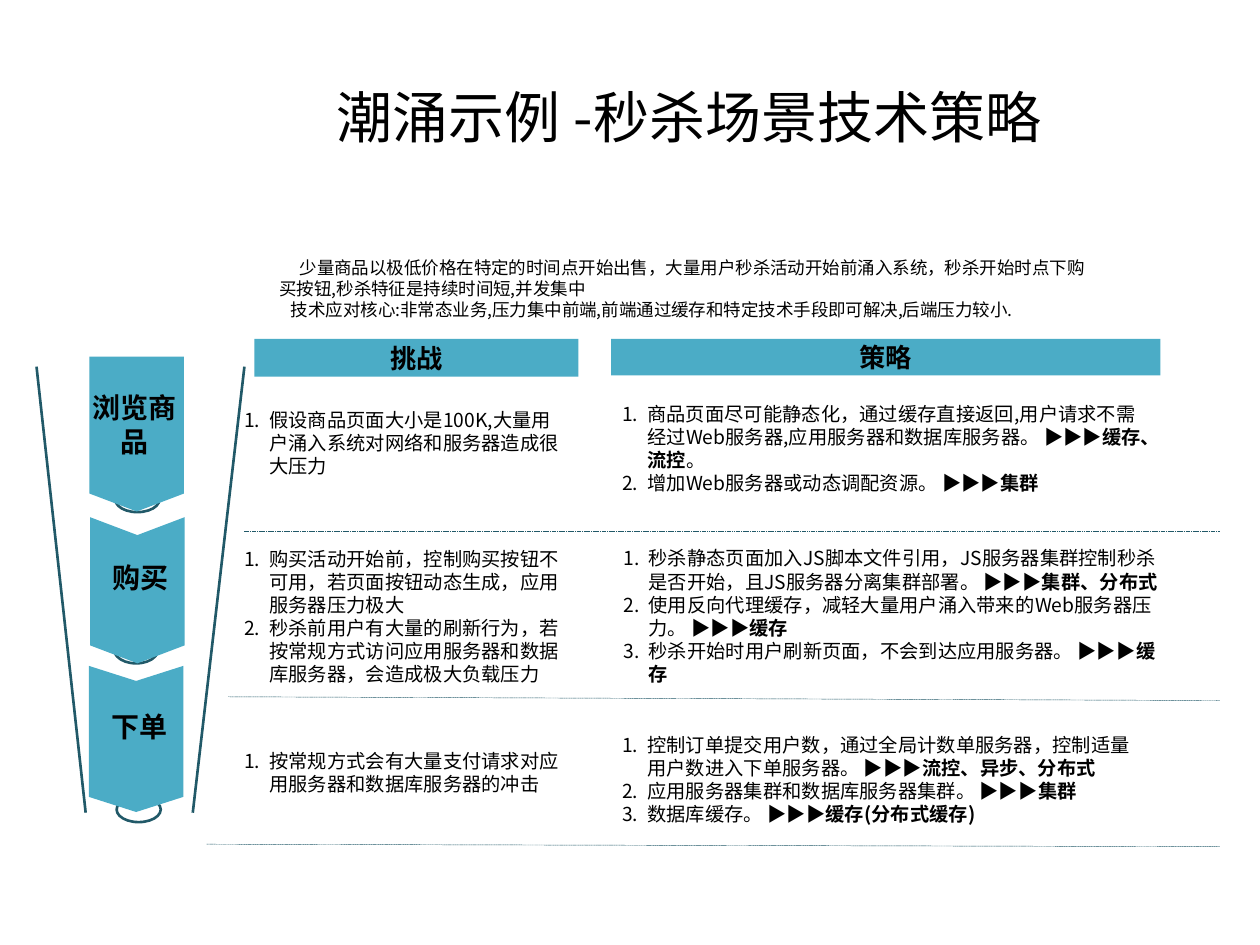
from dataclasses import dataclass
from lxml.etree import SubElement
from pptx import Presentation
from pptx.dml.color import RGBColor
from pptx.enum.dml import MSO_LINE
from pptx.enum.shapes import MSO_CONNECTOR, MSO_SHAPE as SHAPE
from pptx.enum.text import MSO_ANCHOR as ANCHOR, PP_ALIGN as ALIGN
from pptx.oxml.ns import qn
from pptx.util import Inches, Pt


@dataclass
class Theme:
    font: str = "Noto Sans CJK SC"
    text: RGBColor = RGBColor(0, 0, 0)
    white: RGBColor = RGBColor(255, 255, 255)
    accent: RGBColor = RGBColor(0x4B, 0xAC, 0xC6)
    dark: RGBColor = RGBColor(0x21, 0x59, 0x68)
    title: int = 32
    step: int = 16
    header: int = 15
    item: int = 11
    intro: int = 10


theme = Theme()


def write(shape, paragraphs, size, bold=False, align=ALIGN.LEFT,
          anchor=ANCHOR.TOP, numbered=False, indents=()):
    tf = shape.text_frame
    tf.word_wrap = True
    tf.vertical_anchor = anchor
    for i, parts in enumerate(paragraphs):
        p = tf.paragraphs[0] if i == 0 else tf.add_paragraph()
        p.alignment = align
        p.line_spacing = Pt(round(size * 1.2, 1))
        p.space_before = Pt(0)
        pPr = p._p.get_or_add_pPr()
        if numbered:
            pPr.set("marL", str(Inches(0.2)))
            pPr.set("indent", str(-Inches(0.2)))
            SubElement(pPr, qn("a:buFont"), typeface="+mj-lt")
            SubElement(pPr, qn("a:buAutoNum"), type="arabicPeriod")
        elif indents:
            pPr.set("indent", str(Inches(indents[i])))
        for j, text in enumerate(parts):
            r = p.add_run()
            r.text = text
            r.font.name = theme.font
            r.font.size = Pt(size)
            r.font.bold = bold or j % 2 == 1
            r.font.color.rgb = theme.text
            SubElement(r._r.get_or_add_rPr(), qn("a:ea"), typeface=theme.font)


def draw(kind, box, fill, line=None, rotation=0, adj=None):
    sp = s.shapes.add_shape(kind, *map(Inches, box))
    sp.shadow.inherit = False
    sp.rotation = rotation
    sp.fill.solid()
    sp.fill.fore_color.rgb = fill
    if line is None:
        sp.line.fill.background()
    else:
        sp.line.color.rgb = line
        sp.line.width = Pt(1.5)
    if adj is not None:
        sp.adjustments[0] = adj
    return sp


prs = Presentation()
prs.slide_width, prs.slide_height = Inches(10), Inches(7.5)
s = prs.slides.add_slide(prs.slide_layouts[5])

title = s.shapes.title
title.left, title.top, title.width, title.height = map(Inches, (0.94, 0.3, 9.06, 1.25))
write(title, [["潮涌示例 -秒杀场景技术策略"]], theme.title,
      align=ALIGN.CENTER, anchor=ANCHOR.MIDDLE)

for box in [(0.99, 3.79, 0.2, 0.35), (0.97, 4.98, 0.22, 0.35), (1, 6.25, 0.2, 0.35)]:
    draw(SHAPE.OVAL, box, theme.white, line=theme.dark, rotation=90)

funnel = [(0.68, 6.45, 0.29, 2.91), (1.53, 6.45, 1.94, 2.91)]
dividers = [(1.94, 4.22, 9.68, 4.22), (1.81, 5.53, 9.68, 5.56), (1.64, 6.7, 9.68, 6.72)]
for ends in funnel + dividers:
    line = s.shapes.add_connector(MSO_CONNECTOR.STRAIGHT, *map(Inches, ends))
    line.line.color.rgb = theme.dark
    line.line.width = Pt(1.5)
    if ends in dividers:
        line.line.width = Pt(0.25)
        line.line.dash_style = MSO_LINE.SQUARE_DOT
    SubElement(line._element.spPr, qn("a:effectLst"))

for text, box in [("挑战", (2.02, 2.69, 2.57, 0.3)), ("策略", (4.85, 2.69, 4.36, 0.29))]:
    write(draw(SHAPE.RECTANGLE, box, theme.accent), [[text]], theme.header,
          bold=True, align=ALIGN.CENTER, anchor=ANCHOR.MIDDLE)

cells = [
    ((1.84, 3.19, 2.76, 0.66), [
        ["假设商品页面大小是100K,大量用户涌入系统对网络和服务器造成很大压力"]]),
    ((4.84, 3.14, 4.36, 0.84), [
        ["商品页面尽可能静态化，通过缓存直接返回,用户请求不需经过Web服务器,应用服务器和数据库服务器。 ▶▶▶",
         "缓存、流控", "。"],
        ["增加Web服务器或动态调配资源。 ▶▶▶", "集群"]]),
    ((1.84, 4.29, 2.78, 1.21), [
        ["购买活动开始前，控制购买按钮不可用，若页面按钮动态生成，应用服务器压力极大"],
        ["秒杀前用户有大量的刷新行为，若按常规方式访问应用服务器和数据库服务器，会造成极大负载压力"]]),
    ((4.85, 4.29, 4.49, 1.03), [
        ["秒杀静态页面加入JS脚本文件引用，JS服务器集群控制秒杀是否开始，且JS服务器分离集群部署。 ▶▶▶",
         "集群、分布式"],
        ["使用反向代理缓存，减轻大量用户涌入带来的Web服务器压力。 ▶▶▶", "缓存"],
        ["秒杀开始时用户刷新页面，不会到达应用服务器。 ▶▶▶", "缓存"]]),
    ((1.84, 5.9, 2.76, 0.47), [
        ["按常规方式会有大量支付请求对应用服务器和数据库服务器的冲击"]]),
    ((4.84, 5.77, 4.34, 0.84), [
        ["控制订单提交用户数，通过全局计数单服务器，控制适量用户数进入下单服务器。 ▶▶▶",
         "流控、异步、分布式"],
        ["应用服务器集群和数据库服务器集群。 ▶▶▶", "集群"],
        ["数据库缓存。 ▶▶▶", "缓存(分布式缓存)"]]),
]
for box, items in cells:
    write(s.shapes.add_textbox(*map(Inches, box)), items, theme.item, numbered=True)

intro = s.shapes.add_textbox(*map(Inches, (2.12, 1.99, 6.7, 0.61)))
write(intro, [
    ["少量商品以极低价格在特定的时间点开始出售，大量用户秒杀活动开始前涌入系统，秒杀开始时点下购买按钮,秒杀特征是持续时间短,并发集中"],
    ["技术应对核心:非常态业务,压力集中前端,前端通过缓存和特定技术手段即可解决,后端压力较小."],
], theme.intro, indents=(0.16, 0.09))

steps = [
    ("浏览商品", (0.61, 3.05, 0.92, 0.64), SHAPE.PENTAGON, (0.47, 3.07, 1.23, 0.75), 0.19),
    ("购买", (0.78, 4.4, 0.67, 0.37), SHAPE.CHEVRON, (0.51, 4.31, 1.16, 0.75), 0.19),
    ("下单", (0.74, 5.58, 0.73, 0.37), SHAPE.CHEVRON, (0.5, 5.49, 1.16, 0.75), 0.16),
]
for text, label_box, kind, arrow_box, adj in steps:
    draw(kind, arrow_box, theme.accent, rotation=90, adj=adj)
    label = s.shapes.add_textbox(*map(Inches, label_box))
    write(label, [[text]], theme.step, bold=True, align=ALIGN.CENTER)

prs.save("out.pptx")
